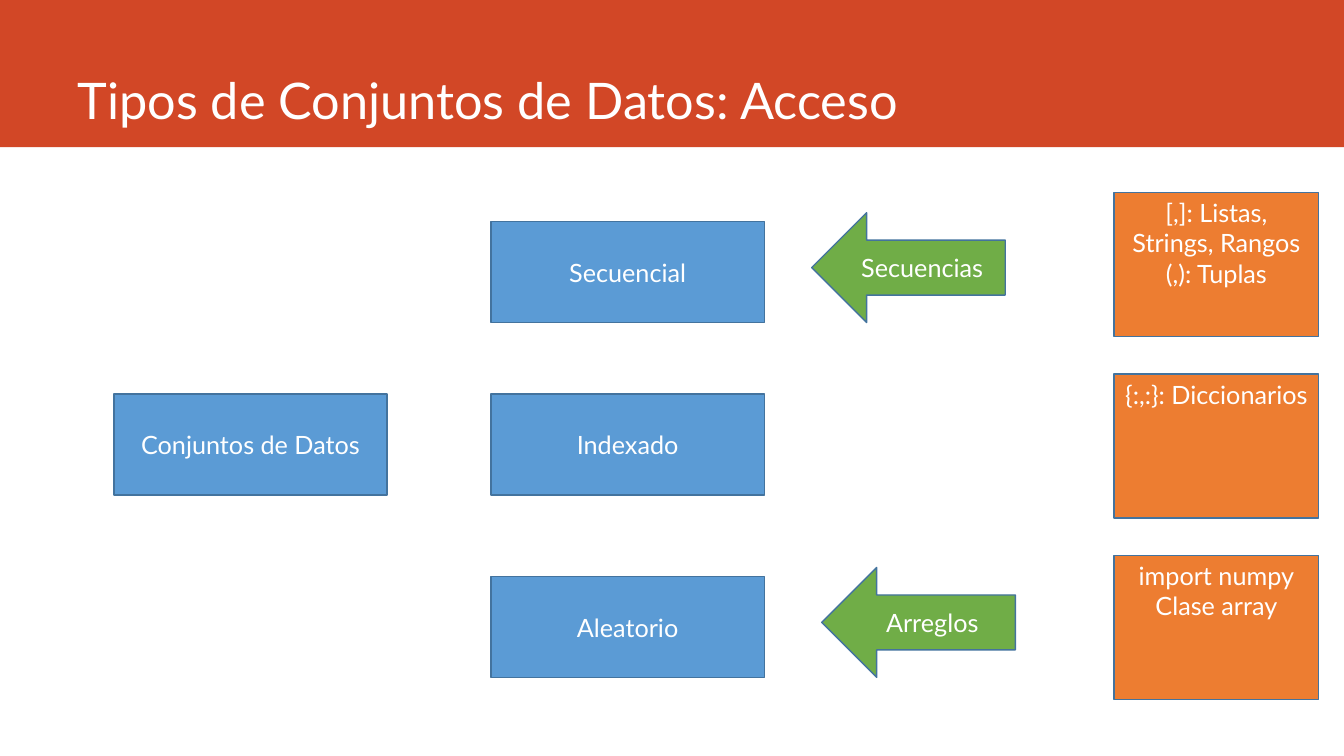
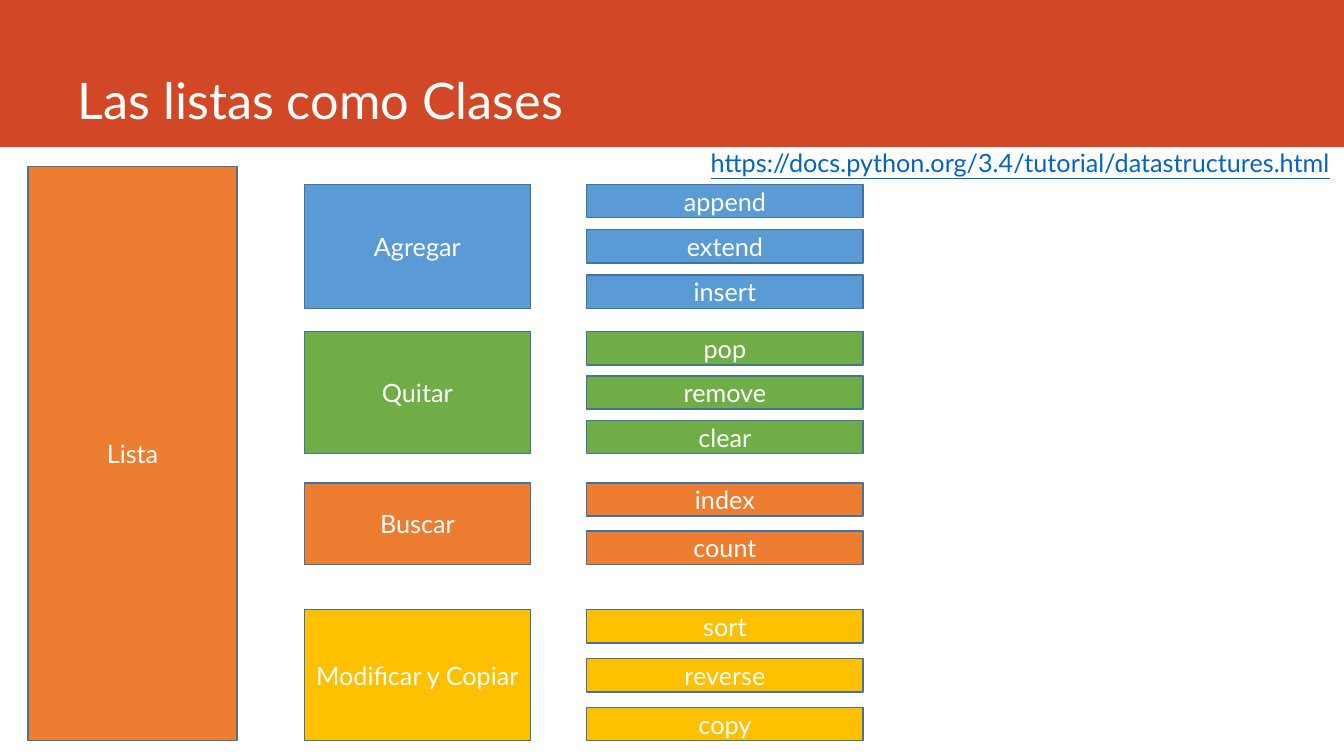
from pptx import Presentation
from pptx.dml.color import RGBColor
from pptx.enum.shapes import MSO_SHAPE
from pptx.enum.text import MSO_ANCHOR, MSO_AUTO_SIZE, PP_ALIGN
from pptx.util import Inches, Pt

RECTANGLE, LEFT_ARROW = MSO_SHAPE.RECTANGLE, MSO_SHAPE.LEFT_ARROW
TOP, MIDDLE, BOTTOM = MSO_ANCHOR.TOP, MSO_ANCHOR.MIDDLE, MSO_ANCHOR.BOTTOM
LEFT, CENTER = PP_ALIGN.LEFT, PP_ALIGN.CENTER
NO_FIT, GROW = MSO_AUTO_SIZE.NONE, MSO_AUTO_SIZE.SHAPE_TO_FIT_TEXT

RED = RGBColor(0xD2, 0x47, 0x26)
BLUE = RGBColor(0x5B, 0x9B, 0xD5)
GREEN = RGBColor(0x70, 0xAD, 0x47)
ORANGE = RGBColor(0xED, 0x7D, 0x31)
YELLOW = RGBColor(0xFF, 0xC0, 0x00)
OUTLINE = RGBColor(0x43, 0x73, 0x9E)
LINK = RGBColor(0x05, 0x63, 0xC1)
WHITE = RGBColor(0xFF, 0xFF, 0xFF)

FONT = "Lato"
TITLE_SIZE, BODY_SIZE = 36, 18
SLIDE_WIDTH, SLIDE_HEIGHT = 13.33, 7.5
BAND_HEIGHT = 1.46
TITLE_ONLY = 5


class Builder:
    """Holds the deck, its style and the current page."""

    def __init__(self):
        self.deck = Presentation()
        self.deck.slide_width = Inches(SLIDE_WIDTH)
        self.deck.slide_height = Inches(SLIDE_HEIGHT)
        self.layout = self.deck.slide_layouts[TITLE_ONLY]
        self.page = None

    def set_text(self, frame, text, size=BODY_SIZE, color=WHITE, align=CENTER, underline=None):
        frame.text = text
        for para in frame.paragraphs:
            para.alignment = align
            for span in para.runs:
                span.font.name = FONT
                span.font.size = Pt(size)
                span.font.color.rgb = color
                span.font.underline = underline

    def add_filled(self, kind, left, top, width, height, fill):
        shape = self.page.shapes.add_shape(
            kind, Inches(left), Inches(top), Inches(width), Inches(height))
        shape.shadow.inherit = False
        shape.fill.solid()
        shape.fill.fore_color.rgb = fill
        return shape

    def add_band(self):
        # The band moves to the layout, so that every page shares it
        band = self.add_filled(RECTANGLE, 0, 0, SLIDE_WIDTH, BAND_HEIGHT, RED)
        band.line.fill.background()
        band.element.nvSpPr.cNvPr.set("id", "20")
        self.layout.shapes.element.insert(2, band.element)

    def add_page(self, text):
        self.page = self.deck.slides.add_slide(self.layout)
        if len(self.deck.slides) == 1:
            self.add_band()
        title = self.page.shapes.title
        title.left, title.top = Inches(0.67), Inches(0)
        title.width, title.height = Inches(11.75), Inches(1.34)
        title.text_frame.vertical_anchor = BOTTOM
        title.text_frame.auto_size = NO_FIT
        self.set_text(title.text_frame, text, TITLE_SIZE, align=LEFT)

    def add_box(self, text, left, top, width, height, fill, kind=RECTANGLE, anchor=MIDDLE):
        box = self.add_filled(kind, left, top, width, height, fill)
        box.line.color.rgb = OUTLINE
        box.line.width = Pt(1)
        box.text_frame.word_wrap = True
        box.text_frame.vertical_anchor = anchor
        self.set_text(box.text_frame, text)

    def add_address(self, text, left, top, width, height):
        box = self.page.shapes.add_textbox(
            Inches(left), Inches(top), Inches(width), Inches(height))
        box.text_frame.word_wrap = False
        box.text_frame.auto_size = GROW
        self.set_text(box.text_frame, text, color=LINK, align=LEFT, underline=True)


def access_types(builder):
    builder.add_page("Tipos de Conjuntos de Datos: Acceso")
    box_width, box_height = 2.71, 1
    builder.add_box("Conjuntos de Datos", 1.13, 3.91, box_width, box_height, BLUE)

    # Kinds of access
    for text, top in (("Secuencial", 2.2), ("Indexado", 3.91), ("Aleatorio", 5.72)):
        builder.add_box(text, 4.87, top, box_width, box_height, BLUE)

    # Arrows towards the kinds of access
    for text, left, top in (("Secuencias", 8.05, 2.11), ("Arreglos", 8.15, 5.63)):
        builder.add_box(text, left, top, 1.92, 1.09, GREEN, LEFT_ARROW)

    # Python types
    examples = ("[,]: Listas, Strings, Rangos\n(,): Tuplas",
                "{:,:}: Diccionarios",
                "import numpy\nClase array")
    for row, text in enumerate(examples):
        builder.add_box(text, 11.05, 1.91 + 1.8 * row, 2.03, 1.43, ORANGE, anchor=TOP)


def list_methods(builder):
    builder.add_page("Las listas como Clases")
    builder.add_address("https://docs.python.org/3.4/tutorial/datastructures.html",
                        6.95, 1.41, 6.38, 0.71)
    builder.add_box("Lista", 0.28, 1.65, 2.07, 5.7, ORANGE)

    # Each group's methods spread evenly over the height of the group
    groups = (
        ("Agregar", 1.83, 1.23, BLUE, ("append", "extend", "insert")),
        ("Quitar", 3.29, 1.21, GREEN, ("pop", "remove", "clear")),
        ("Buscar", 4.79, 0.81, ORANGE, ("index", "count")),
        ("Modificar y Copiar", 6.05, 1.3, YELLOW, ("sort", "reverse", "copy")),
    )
    method_height = 0.33
    for group, top, height, fill, methods in groups:
        builder.add_box(group, 3.02, top, 2.24, height, fill)
        pitch = (height - method_height) / (len(methods) - 1)
        for row, method in enumerate(methods):
            builder.add_box(method, 5.82, top + pitch * row, 2.74, method_height, fill)


def main():
    builder = Builder()
    access_types(builder)
    list_methods(builder)
    builder.deck.save("out.pptx")


if __name__ == "__main__":
    main()
